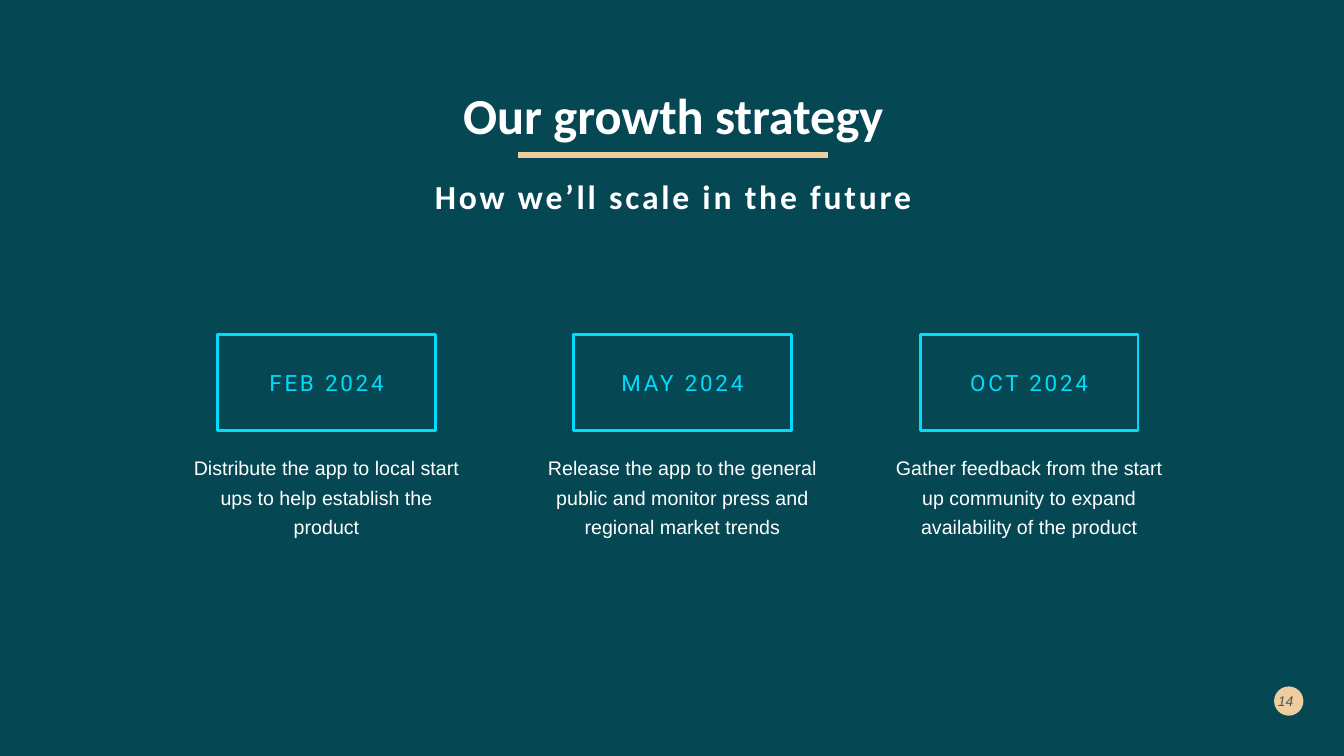
from lxml.etree import SubElement
from pptx import Presentation
from pptx.dml.color import RGBColor
from pptx.enum.shapes import MSO_CONNECTOR as Connector, MSO_SHAPE as Shape
from pptx.enum.text import MSO_ANCHOR as Anchor, PP_ALIGN as Align
from pptx.oxml.ns import qn
from pptx.util import Inches, Pt

TEAL = RGBColor(0x05, 0x48, 0x54)
SAND = RGBColor(0xF0, 0xCD, 0xA1)
CYAN = RGBColor(0x02, 0xDC, 0xFA)
WHITE = RGBColor(0xFF, 0xFF, 0xFF)
INK = RGBColor(0x00, 0x29, 0x2E)

SLIDE_WIDTH, SLIDE_HEIGHT = Inches(13.33), Inches(7.5)
COLUMN, ROW = SLIDE_WIDTH / 100, SLIDE_HEIGHT / 100
MIDDLE = 50.1

MILESTONES = [
    (24.3, "FEB 2024",
     "Distribute the app to local start ups to help establish the product"),
    (50.78, "MAY 2024",
     "Release the app to the general public and monitor press and regional market trends"),
    (76.58, "OCT 2024",
     "Gather feedback from the start up community to expand availability of the product"),
]


def centred(center, top, width, height):
    return (round((center - width / 2) * COLUMN), round(top * ROW),
            round(width * COLUMN), round(height * ROW))


def write(frame, text, face, size, color, anchor=Anchor.TOP, align=Align.CENTER,
          line_spacing=None, space_before=0, tracking=0, bold=False, italic=False):
    frame.word_wrap = True
    frame.vertical_anchor = anchor
    paragraph = frame.paragraphs[0]
    paragraph.text = text
    paragraph.alignment = align
    paragraph.line_spacing = line_spacing
    paragraph.space_before = Pt(space_before)
    font = paragraph.font
    font.name, font.size, font.bold, font.italic = face, Pt(size), bold, italic
    font.color.rgb = color
    properties = paragraph._p.pPr.find(qn("a:defRPr"))
    if tracking:
        properties.set("spc", str(tracking * 100))
    return properties


def add_text(slide, place, *content, **style):
    return write(slide.shapes.add_textbox(*place).text_frame, *content, **style)


def add_rule(slide, left, right, y):
    rule = slide.shapes.add_connector(
        Connector.STRAIGHT, round(left * COLUMN), round(y * ROW),
        round(right * COLUMN), round(y * ROW))
    rule.line.color.rgb = SAND
    rule.line.width = Pt(4.32)
    SubElement(rule._element.spPr, qn("a:effectLst"))


def add_milestone(slide, center, date, goal):
    box = slide.shapes.add_shape(Shape.RECTANGLE, *centred(center, 44.27, 16.2, 12.67))
    box.shadow.inherit = False
    box.fill.background()
    box.line.color.rgb = CYAN
    box.line.width = Pt(2)
    write(box.text_frame, date, "Roboto", 16, CYAN,
          anchor=Anchor.MIDDLE, space_before=10, tracking=2)
    add_text(slide, centred(center, 58.93, 22.5, 16.8), goal, "Arial", 14, WHITE,
             line_spacing=1.25)


def add_page_number(slide, number):
    badge = slide.shapes.add_shape(Shape.OVAL, *centred(95.89, 90.8, 2.18, 3.87))
    badge.shadow.inherit = False
    badge.fill.solid()
    badge.fill.fore_color.rgb = SAND
    badge.line.fill.background()
    properties = add_text(slide, centred(95.51, 90, 2.93, 5.33), number, "Arial", 10, INK,
                          anchor=Anchor.MIDDLE, align=Align.RIGHT, italic=True)
    ink = properties.find(".//" + qn("a:srgbClr"))
    SubElement(ink, qn("a:alpha"), val="70000")


def main():
    deck = Presentation()
    deck.slide_width, deck.slide_height = SLIDE_WIDTH, SLIDE_HEIGHT
    slide = deck.slides.add_slide(deck.slide_layouts[6])
    slide.background.fill.solid()
    slide.background.fill.fore_color.rgb = TEAL

    add_page_number(slide, "14")
    add_text(slide, centred(MIDDLE, 6, 86.25, 19.33), "Our growth strategy",
             "Calibri", 36, WHITE, anchor=Anchor.MIDDLE, line_spacing=0.9, bold=True)
    add_rule(slide, 38.55, 61.58, 20.53)
    add_text(slide, centred(MIDDLE, 23.2, 59.93, 5.73), "How we’ll scale in the future",
             "Calibri", 24, WHITE, line_spacing=0.9, space_before=10, tracking=2, bold=True)
    for center, date, goal in MILESTONES:
        add_milestone(slide, center, date, goal)

    deck.save("out.pptx")


if __name__ == "__main__":
    main()
